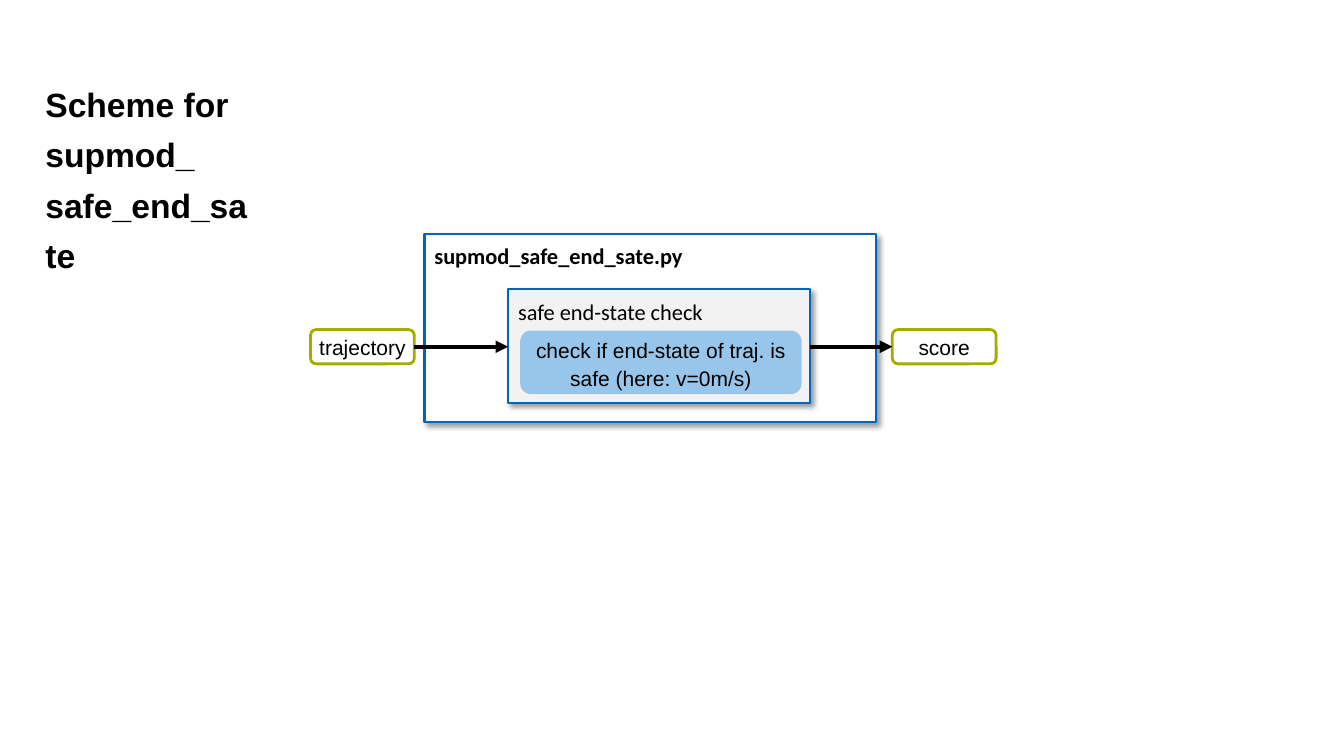
from lxml.etree import SubElement
from pptx import Presentation
from pptx.dml.color import RGBColor
from pptx.enum.shapes import MSO_CONNECTOR as CONNECTOR, MSO_SHAPE as SHAPE
from pptx.enum.text import MSO_ANCHOR as ANCHOR, PP_ALIGN as ALIGN
from pptx.oxml import parse_xml
from pptx.oxml.ns import nsdecls, qn
from pptx.util import Inches, Pt

THEME = {
    "black": "000000", "white": "FFFFFF", "blue": "0065BD",
    "green": "A2AD00", "grey": "F2F2F2", "light_blue": "98C6EA",
    "title": 24, "module": 16, "label": 15,
    "body_font": "Arial", "module_font": "Calibri",
}
SHADOW = (
    f'<a:effectLst {nsdecls("a")}>'
    '<a:outerShdw blurRad="50800" dist="38100" dir="2700000" algn="tl" rotWithShape="0">'
    '<a:srgbClr val="000000"><a:alpha val="40000"/></a:srgbClr>'
    '</a:outerShdw></a:effectLst>'
)


def write(shape, text, size="label", font="body_font", bold=False, spacing=1.14,
          align=ALIGN.CENTER, anchor=ANCHOR.TOP, inset=(0, 0)):
    """Put formatted text into a shape; inset is horizontal, vertical in inches."""
    frame = shape.text_frame
    frame.word_wrap = True
    frame.vertical_anchor = anchor
    frame.margin_left = frame.margin_right = Inches(inset[0])
    frame.margin_top = frame.margin_bottom = Inches(inset[1])
    para = frame.paragraphs[0]
    para.text = text
    para.alignment = align
    para.line_spacing = spacing
    for span in para.runs:
        span.font.name = THEME[font]
        span.font.size = Pt(THEME[size])
        span.font.bold = bold
        span.font.color.rgb = RGBColor.from_string(THEME["black"])


def add_box(kind, place, fill, line=None, width=1.5, shadow=False):
    """Add a filled box at left, top, width, height in inches."""
    box = slide.shapes.add_shape(kind, *map(Inches, place))
    box.fill.solid()
    box.fill.fore_color.rgb = RGBColor.from_string(THEME[fill])
    if line:
        box.line.color.rgb = RGBColor.from_string(THEME[line])
        box.line.width = Pt(width)
    else:
        box.line.fill.background()
    if shadow:
        box._element.spPr.append(parse_xml(SHADOW))
    else:
        box.shadow.inherit = False
    return box


deck = Presentation()
deck.slide_width, deck.slide_height = Inches(13.33), Inches(7.5)
slide = deck.slides.add_slide(deck.slide_layouts[5])

title = slide.shapes.title
title.left, title.top, title.width, title.height = map(Inches, (0.45, 0.73, 2.09, 1.97))
write(title, "Scheme for supmod_\vsafe_end_sate", size="title", bold=True,
      spacing=1.25, align=ALIGN.LEFT)

# Module frame and the check inside it
modules = []
for text, place, fill, bold in (
    ("supmod_safe_end_sate.py", (4.21, 2.32, 4.48, 1.87), "white", True),
    ("safe end-state check", (5.04, 2.87, 2.99, 1.13), "grey", False),
):
    module = add_box(SHAPE.RECTANGLE, place, fill, "blue", shadow=True)
    write(module, text, size="module", font="module_font", bold=bold,
          align=ALIGN.LEFT, inset=(0.1, 0.05))
    modules.append(module)
check = modules[-1]

rule = add_box(SHAPE.ROUNDED_RECTANGLE, (5.16, 3.28, 2.79, 0.63), "light_blue")
write(rule, "check if end-state of traj. is safe (here: v=0m/s)", anchor=ANCHOR.MIDDLE)

# Input and output
terminals = []
for text, left in (("trajectory", 3.08), ("score", 8.85)):
    terminal = add_box(SHAPE.ROUNDED_RECTANGLE, (left, 3.27, 1.03, 0.34),
                       "white", "green", width=2)
    write(terminal, text)
    terminals.append(terminal)
trajectory, score = terminals

# Arrows run from the right side (3) of one box to the left side (1) of the next
for source, target in ((trajectory, check), (check, score)):
    arrow = slide.shapes.add_connector(CONNECTOR.STRAIGHT, 0, 0, 0, 0)
    arrow.begin_connect(source, 3)
    arrow.end_connect(target, 1)
    arrow.begin_y = arrow.end_y = Inches(3.44)
    arrow.line.color.rgb = RGBColor.from_string(THEME["black"])
    arrow.line.width = Pt(3)
    SubElement(arrow.line._get_or_add_ln(), qn("a:tailEnd"), type="triangle")
    SubElement(arrow._element.spPr, qn("a:effectLst"))

deck.save("out.pptx")
